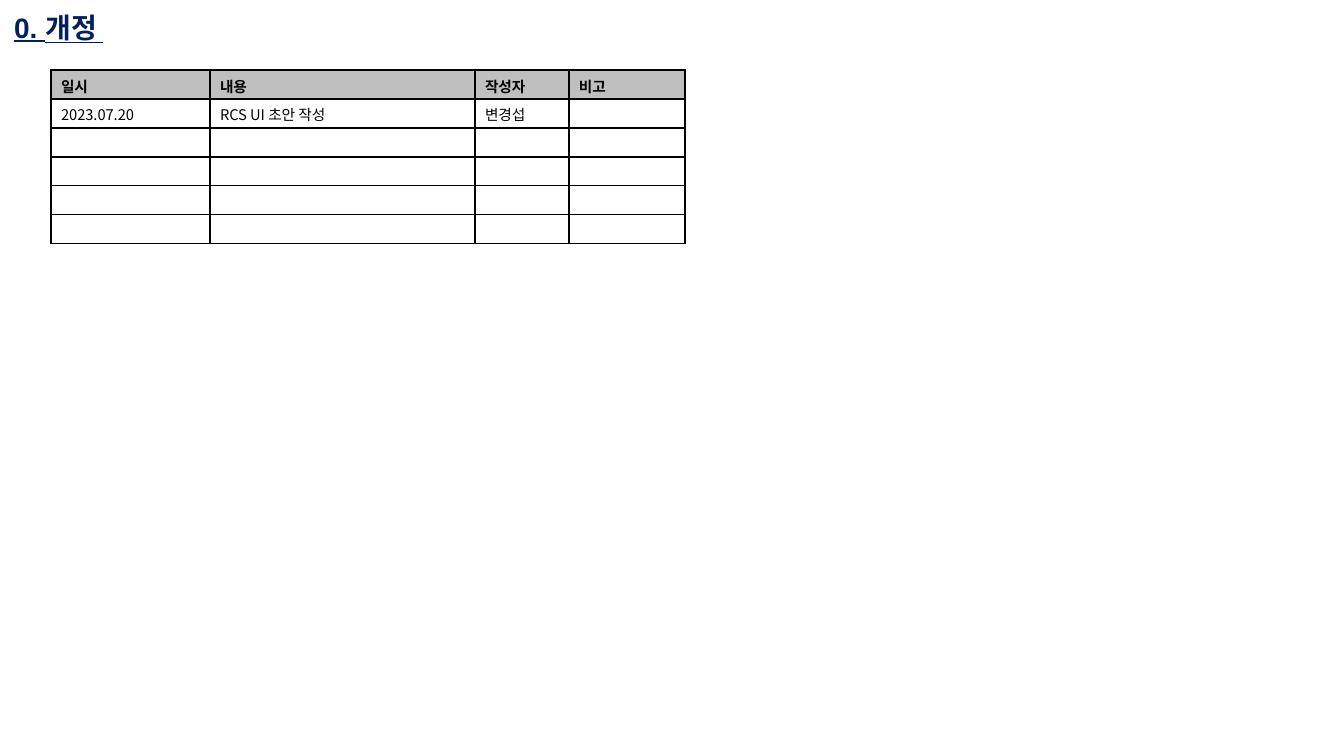
from lxml import etree
from pptx import Presentation
from pptx import util as u
from pptx.dml.color import RGBColor
from pptx.enum import text
from pptx.oxml.ns import qn

PX = 914400 / 100.8  # EMU in one px
THEME = {
    "title": RGBColor.from_string("002060"),
    "ink": RGBColor.from_string("000000"),
    "header": RGBColor.from_string("BFBFBF"),
    "border": "000000",
    "latin": "Arial",
    "korean": "Noto Sans CJK KR",
    "title_size": u.Pt(20),
    "cell_size": u.Pt(10.5),
    "border_width": u.Pt(1),
}


def px(length):
    return u.Emu(round(length * PX))


def add_borders(cell):
    properties = cell._tc.get_or_add_tcPr()
    for side in ("a:lnL", "a:lnR", "a:lnT", "a:lnB"):
        line = etree.SubElement(properties, qn(side), w=str(THEME["border_width"]))
        fill = etree.SubElement(line, qn("a:solidFill"))
        etree.SubElement(fill, qn("a:srgbClr"), val=THEME["border"])


deck = Presentation()
deck.slide_width, deck.slide_height = px(1344), px(756)
slide = deck.slides.add_slide(deck.slide_layouts[5])

# Title
heading = slide.shapes.title
heading.left, heading.top, heading.width, heading.height = map(px, (4, 5, 886, 44))
heading.text_frame.text = "0. 개정 "
heading.text_frame.vertical_anchor = text.MSO_ANCHOR.TOP
heading.text_frame.auto_size = text.MSO_AUTO_SIZE.SHAPE_TO_FIT_TEXT
heading_line = heading.text_frame.paragraphs[0]
heading_line.alignment = text.PP_ALIGN.LEFT
heading_font = heading_line.runs[0].font
heading_font.name = THEME["latin"]
heading_font.size = THEME["title_size"]
heading_font.bold = heading_font.underline = True
heading_font.color.rgb = THEME["title"]
etree.SubElement(heading_font._element, qn("a:ea"), typeface=THEME["korean"])

# Revision history
revisions = [
    ("일시", "내용", "작성자", "비고"),
    ("2023.07.20", "RCS UI 초안 작성", "변경섭", ""),
] + [("",) * 4] * 4
column_widths = (159, 265, 94, 116)
row_height = 29

history = slide.shapes.add_table(
    len(revisions), len(column_widths), px(51), px(70),
    px(sum(column_widths)), px(row_height * len(revisions)),
).table
history.first_row = history.horz_banding = False
for column, width in zip(history.columns, column_widths):
    column.width = px(width)

for row_index, entries in enumerate(revisions):
    history.rows[row_index].height = px(row_height)
    for column_index, entry in enumerate(entries):
        cell = history.cell(row_index, column_index)
        add_borders(cell)
        if row_index == 0:
            cell.fill.solid()
            cell.fill.fore_color.rgb = THEME["header"]
        else:
            cell.fill.background()

        cell.text_frame.text = entry
        line = cell.text_frame.paragraphs[0]
        for run in line.runs:
            run.font.name = THEME["korean"]
            run.font.size = THEME["cell_size"]
            run.font.bold = row_index == 0
            run.font.color.rgb = THEME["ink"]
            etree.SubElement(run.font._element, qn("a:ea"), typeface=THEME["korean"])

        # Blank cells keep the same line height as filled ones
        if not entry:
            end = etree.SubElement(line._p, qn("a:endParaRPr"),
                                   sz=str(int(THEME["cell_size"].pt * 100)))
            for script in ("a:latin", "a:ea"):
                etree.SubElement(end, qn(script), typeface=THEME["korean"])

deck.save("out.pptx")
